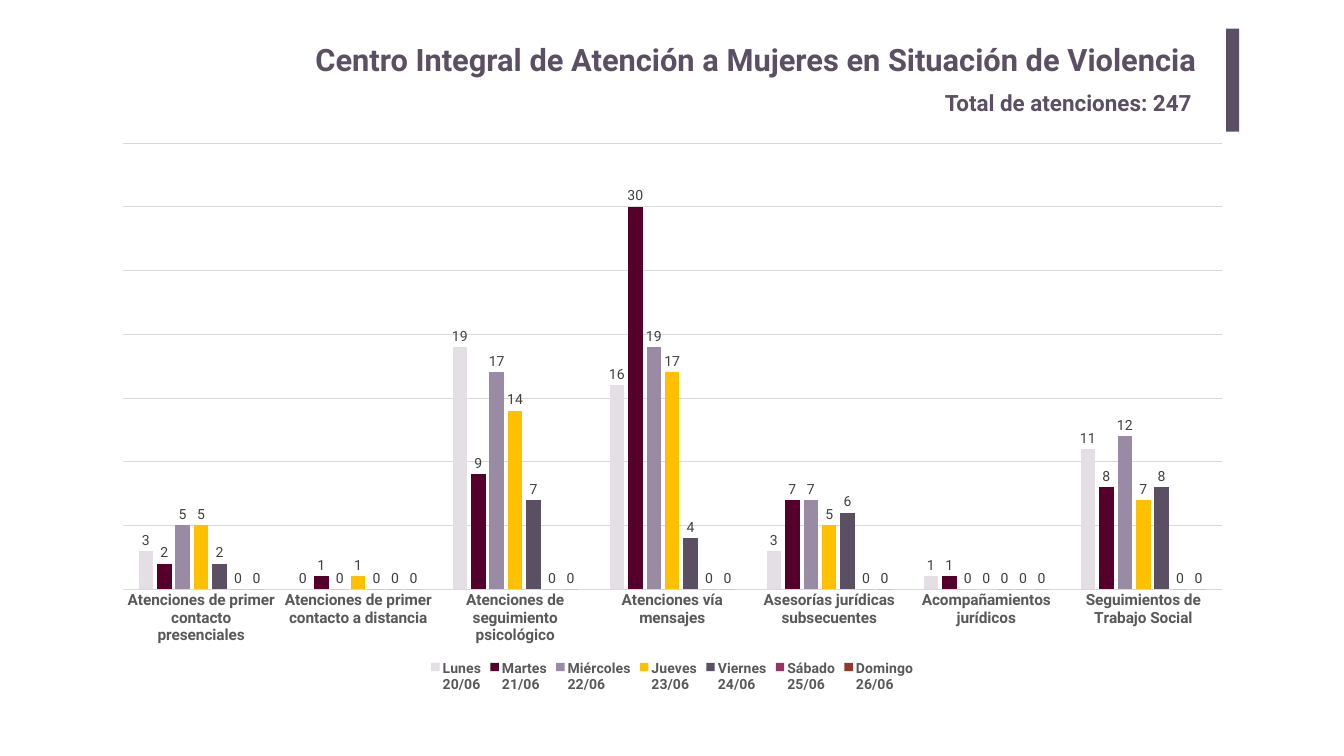
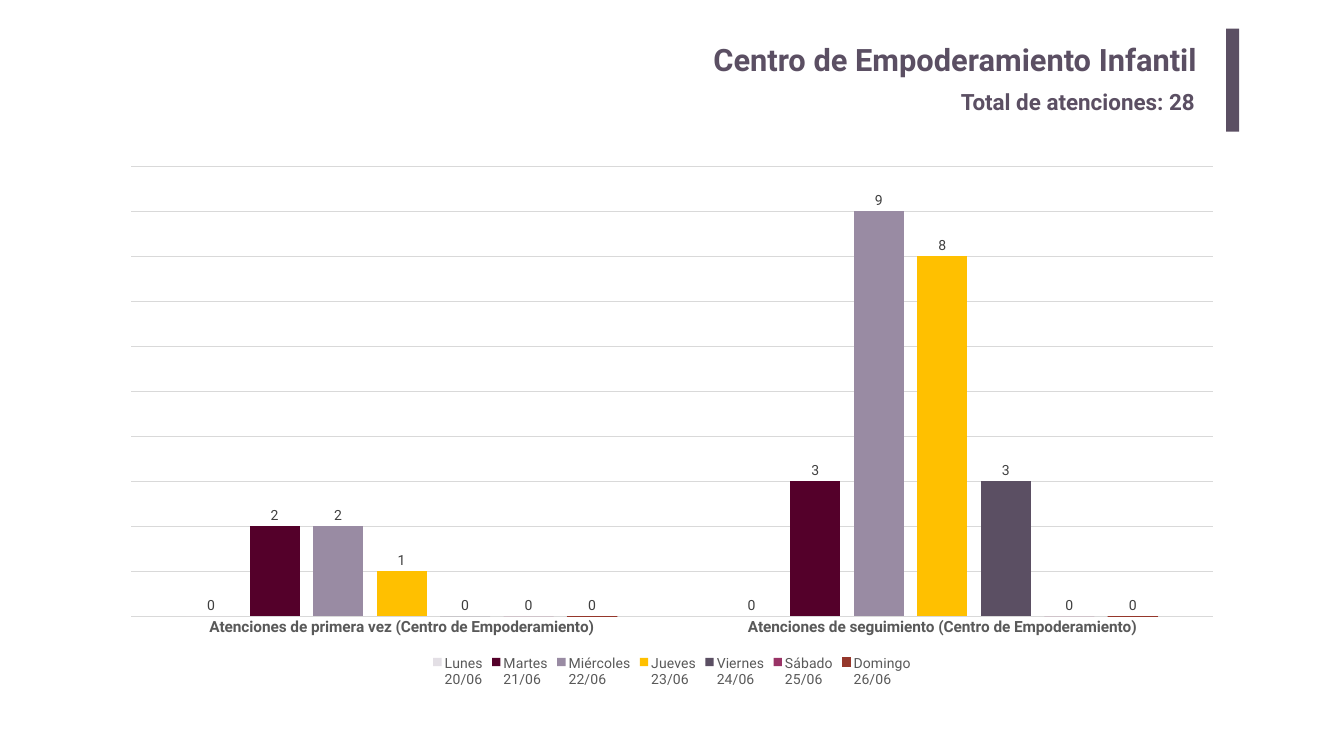
from lxml import etree
from pptx import Presentation
from pptx.chart.data import CategoryChartData
from pptx.dml.color import RGBColor
from pptx.enum.chart import (XL_CHART_TYPE, XL_LABEL_POSITION,
                             XL_LEGEND_POSITION, XL_TICK_MARK)
from pptx.enum.shapes import MSO_SHAPE
from pptx.enum.text import MSO_ANCHOR, PP_ALIGN
from pptx.util import Inches, Pt

COLUMNS = XL_CHART_TYPE.COLUMN_CLUSTERED
OUTSIDE = XL_LABEL_POSITION.OUTSIDE_END
BOTTOM = XL_LEGEND_POSITION.BOTTOM
NO_TICK = XL_TICK_MARK.NONE
RECT = MSO_SHAPE.RECTANGLE
TOP, MIDDLE = MSO_ANCHOR.TOP, MSO_ANCHOR.MIDDLE
LEFT, RIGHT = PP_ALIGN.LEFT, PP_ALIGN.RIGHT

FONT = "Roboto"
PLUM, GRAY, DARK, GRID = "5B4F63", "595959", "404040", "D9D9D9"

# Days: name and column colour
DAYS = [
    ("Lunes\n20/06", "E3DFE5"),
    ("Martes\n21/06", "54002A"),
    ("Miércoles\n22/06", "998BA3"),
    ("Jueves\n23/06", "FFC000"),
    ("Viernes\n24/06", PLUM),
    ("Sábado\n25/06", "993366"),
    ("Domingo\n26/06", "95372B"),
]

# Each row: category, then one value per day
SLIDES = [
    dict(
        title="Centro Integral de Atención a Mujeres en Situación de Violencia",
        total="Total de atenciones: 247",
        total_at=(18.65, 1.71, 5.31, 0.65),
        chart_at=(1.98, 2.61, 22.72, 11.21),
        plot=(0.02, 0.02, 0.96, 0.79),
        top=35, step=5, bold_key=True, edge=None,
        rows=[
            ("Atenciones de primer contacto presenciales", 3, 2, 5, 5, 2, 0, 0),
            ("Atenciones de primer contacto a distancia", 0, 1, 0, 1, 0, 0, 0),
            ("Atenciones de seguimiento psicológico", 19, 9, 17, 14, 7, 0, 0),
            ("Atenciones vía mensajes", 16, 30, 19, 17, 4, 0, 0),
            ("Asesorías jurídicas subsecuentes", 3, 7, 7, 5, 6, 0, 0),
            ("Acompañamientos jurídicos", 1, 1, 0, 0, 0, 0, 0),
            ("Seguimientos de Trabajo Social", 11, 8, 12, 7, 8, 0, 0),
        ],
    ),
    dict(
        title="Centro de Empoderamiento Infantil",
        total="Total de atenciones: 28",
        total_at=(18.97, 1.69, 5.05, 0.64),
        chart_at=(2.16, 3.08, 22.35, 10.64),
        plot=(0.02, 0.02, 0.96, 0.84),
        top=10, step=1, bold_key=False, edge="Domingo\n26/06",
        rows=[
            ("Atenciones de primera vez (Centro de Empoderamiento)",
             0, 2, 2, 1, 0, 0, 0),
            ("Atenciones de seguimiento (Centro de Empoderamiento)",
             0, 3, 9, 8, 3, 0, 0),
        ],
    ),
]


def rgb(code):
    return RGBColor.from_string(code)


def box(at):
    return [Inches(n) for n in at]


def style(font, size, color, bold=False):
    font.name, font.size, font.bold = FONT, Pt(size), bold
    font.color.rgb = rgb(color)


def rule(line, color):
    line.color.rgb = rgb(color)
    line.width = Pt(0.75)


def write(slide, text, at, size, align=LEFT, anchor=TOP, inset=0.1):
    frame = slide.shapes.add_textbox(*box(at)).text_frame
    frame.word_wrap = True
    frame.vertical_anchor = anchor
    frame.margin_left = frame.margin_right = Inches(inset)
    frame.margin_top = frame.margin_bottom = Inches(inset / 2)
    para = frame.paragraphs[0]
    para.text, para.alignment = text, align
    style(para.font, size, PLUM, True)


def place_plot(chart, sizes):
    """Fix the inner plot area as shares of the chart."""
    area = chart._chartSpace.chart.plotArea
    space = area.nsmap["c"]
    for old in area.findall(f"{{{space}}}layout"):
        area.remove(old)
    layout = etree.Element(f"{{{space}}}layout")
    manual = etree.SubElement(layout, f"{{{space}}}manualLayout")
    parts = [("layoutTarget", "inner"), ("xMode", "edge"), ("yMode", "edge")]
    for tag, val in parts + list(zip("xywh", sizes)):
        etree.SubElement(manual, f"{{{space}}}{tag}", val=str(val))
    area.insert(0, layout)


def add_head(slide, page):
    write(slide, page["title"], (3.66, 0.67, 20.3, 1.02), 44,
          align=RIGHT, anchor=MIDDLE, inset=0.2)
    bar = slide.shapes.add_shape(RECT, *box((24.33, 0.57, 0.26, 2.04)))
    bar.shadow.inherit = False
    bar.fill.solid()
    bar.fill.fore_color.rgb = rgb(PLUM)
    bar.line.fill.background()
    write(slide, page["total"], page["total_at"], 32)


def add_columns(slide, page):
    names, *values = zip(*page["rows"])
    data = CategoryChartData()
    data.categories = names
    for (day, _), vals in zip(DAYS, values):
        data.add_series(day, vals)
    chart = slide.shapes.add_chart(COLUMNS, *box(page["chart_at"]), data).chart
    chart.has_title = False
    style(chart.font, 10, "000000")
    place_plot(chart, page["plot"])

    # Axes
    cats, vals = chart.category_axis, chart.value_axis
    cats.major_tick_mark = cats.minor_tick_mark = NO_TICK
    style(cats.tick_labels.font, 22, GRAY, True)
    rule(cats.format.line, GRID)
    vals.visible = False
    vals.minimum_scale, vals.maximum_scale = 0, page["top"]
    vals.major_unit = page["step"]
    vals.has_major_gridlines = True
    rule(vals.major_gridlines.format.line, GRID)

    # Legend
    chart.has_legend = True
    chart.legend.position = BOTTOM
    chart.legend.include_in_layout = False
    style(chart.legend.font, 20, GRAY, page["bold_key"])

    # Columns and their labels
    plot = chart.plots[0]
    plot.gap_width, plot.overlap, plot.vary_by_categories = 219, -27, False
    for series, (day, color) in zip(plot.series, DAYS):
        series.format.fill.solid()
        series.format.fill.fore_color.rgb = rgb(color)
        if day == page["edge"]:
            rule(series.format.line, color)
        labels = series.data_labels
        labels.show_value, labels.position = True, OUTSIDE
        style(labels.font, 20, DARK)


def main():
    deck = Presentation()
    deck.slide_width, deck.slide_height = Inches(26.67), Inches(15)
    for page in SLIDES:
        slide = deck.slides.add_slide(deck.slide_layouts[6])
        add_head(slide, page)
        add_columns(slide, page)
    deck.save("out.pptx")


if __name__ == "__main__":
    main()
